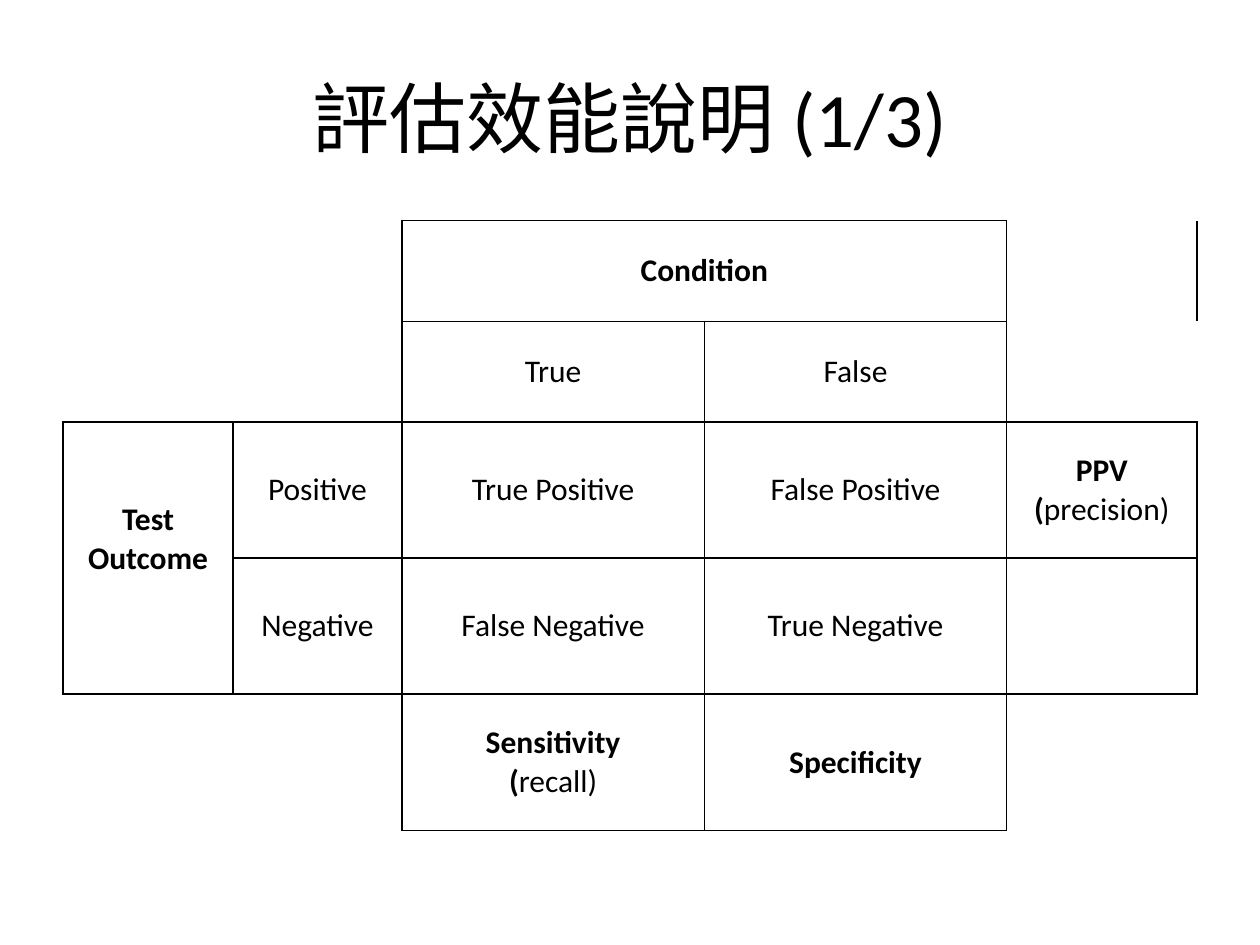
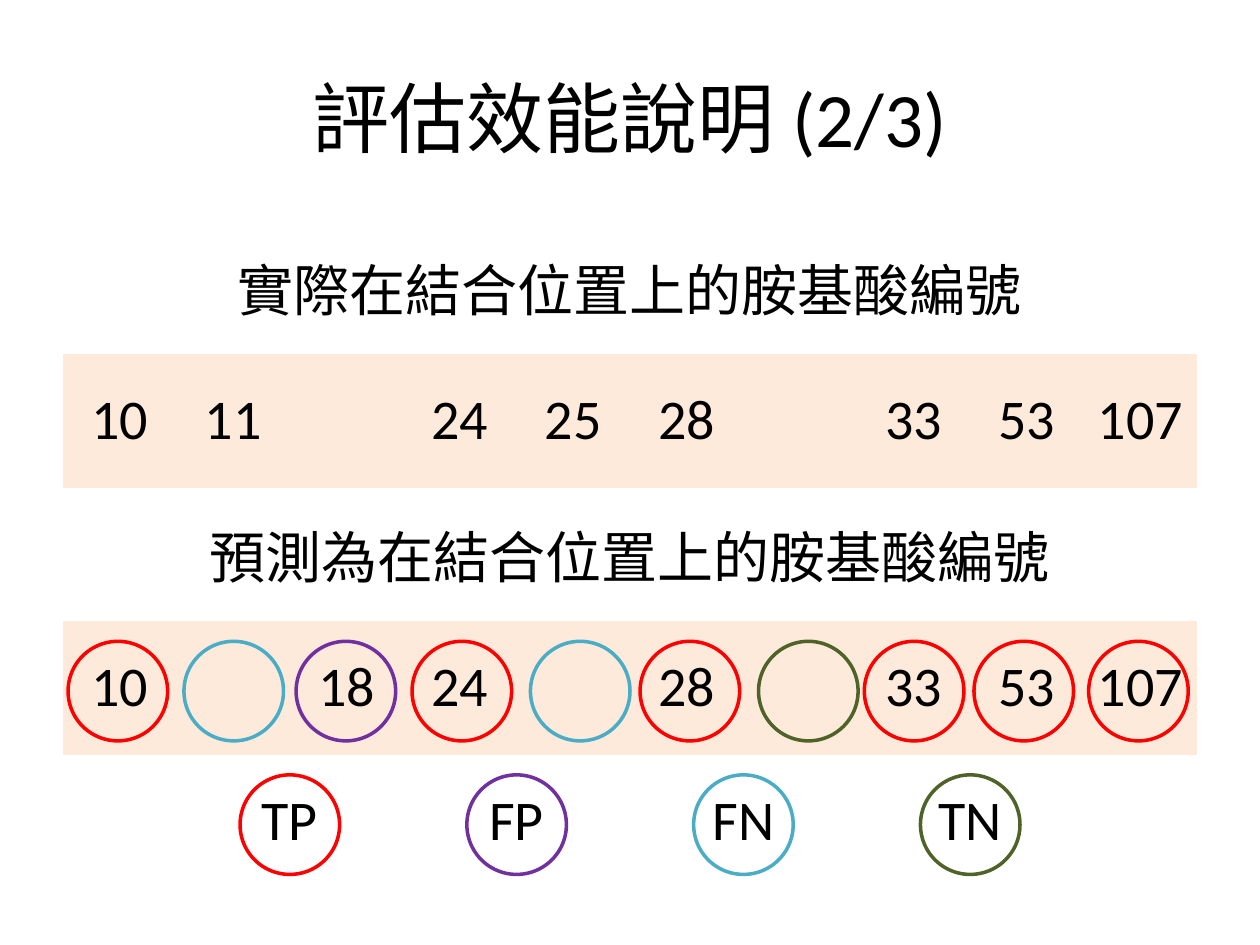
from itertools import product

from lxml.etree import SubElement
from pptx import Presentation
from pptx.dml.color import RGBColor
from pptx.enum.shapes import MSO_SHAPE as Shape
from pptx.enum.text import MSO_ANCHOR as Anchor, PP_ALIGN as Align
from pptx.oxml.ns import qn
from pptx.util import Inches, Pt

BLACK = RGBColor(0x00, 0x00, 0x00)
PEACH = RGBColor(0xFD, 0xEA, 0xDA)
OUTCOME_COLORS = {
    "TP": RGBColor(0xFF, 0x00, 0x00),
    "FP": RGBColor(0x70, 0x30, 0xA0),
    "FN": RGBColor(0x4B, 0xAC, 0xC6),
    "TN": RGBColor(0x4F, 0x62, 0x28),
}
LATIN = "Calibri"
CHINESE = "Noto Sans CJK SC"
PLAIN_TABLE = "{2D5ABB26-0587-4C30-8999-92F81FD0307C}"

TITLE_BOX = (0.5, 0.3, 9, 1.25)
MATRIX_BOX = (0.5, 1.75, 9, 4.84)
RESIDUE_BOX = (0.5, 1.75, 9, 5.3)
CIRCLE = 0.79

MATRIX_COLUMNS = [1.35, 1.34, 2.4, 2.4, 1.51]
MATRIX_ROWS = [0.8, 0.8, 1.08, 1.08, 1.08]
MATRIX_TEXT = {
    (0, 2): [[("Condition", True)]],
    (1, 2): [[("True", False)]],
    (1, 3): [[("False", False)]],
    (2, 0): [[("Test", True), ("\n", True), ("Outcome", True)]],
    (2, 1): [[("Positive", False)]],
    (2, 2): [[("True Positive", False)]],
    (2, 3): [[("False Positive", False)]],
    (2, 4): [[("PPV", True)], [("(", True), ("precision)", False)]],
    (3, 1): [[("Negative", False)]],
    (3, 2): [[("False Negative", False)]],
    (3, 3): [[("True Negative", False)]],
    (4, 2): [[("Sensitivity", True)], [("(", True), ("recall)", False)]],
    (4, 3): [[("Specificity", True)]],
}

ACTUAL = ["10", "11", "", "24", "25", "28", "", "33", "53", "107"]
PREDICTED = ["10", "", "18", "24", "", "28", "", "33", "53", "107"]
PREDICTION_MARKS = [
    ("TP", 0.04), ("FN", 0.96), ("FP", 1.85), ("TP", 2.77), ("FN", 3.71),
    ("TP", 4.58), ("TN", 5.52), ("TP", 6.36), ("TP", 7.23), ("TP", 8.14),
]


def add_span(para, text, size, font=LATIN, bold=False):
    span = para.add_run()
    span.text = text
    span.font.size = Pt(size)
    span.font.bold = bold
    span.font.color.rgb = BLACK
    span.font.name = font
    SubElement(span.font._element, qn("a:ea")).set("typeface", font)


def add_title(page, box, number):
    frame = page.shapes.add_textbox(*map(Inches, box)).text_frame
    frame.word_wrap = True
    frame.vertical_anchor = Anchor.MIDDLE
    para = frame.paragraphs[0]
    para.alignment = Align.CENTER
    add_span(para, "評估效能說明", 44, CHINESE)
    add_span(para, f" ({number}/3)", 44)


def add_plain_table(page, box, columns, rows):
    frame = page.shapes.add_table(len(rows), len(columns), *map(Inches, box))
    for style in frame.element.iter(qn("a:tableStyleId")):
        style.text = PLAIN_TABLE
    table = frame.table
    table.first_row = table.horz_banding = False
    for column, width in zip(table.columns, columns):
        column.width = Inches(width)
    for row, height in zip(table.rows, rows):
        row.height = Inches(height)
    for cell in table.iter_cells():
        cell.vertical_anchor = Anchor.MIDDLE
        cell.fill.background()
    return table


def fill_cell(cell, text, font=LATIN):
    para = cell.text_frame.paragraphs[0]
    para.alignment = Align.CENTER
    add_span(para, text, 32, font)


def in_cross(row, column):
    return (row in (2, 3) and 0 <= column < 5) or (column in (2, 3) and 0 <= row < 5)


def add_borders(cell, row, column):
    neighbours = [("L", 0, -1), ("R", 0, 1), ("T", -1, 0), ("B", 1, 0)]
    properties = cell._tc.get_or_add_tcPr()
    position = 0
    for side, down, right in neighbours:
        if in_cross(row, column) or in_cross(row + down, column + right):
            line = SubElement(properties, qn(f"a:ln{side}"), w=str(Pt(1)))
            fill = SubElement(line, qn("a:solidFill"))
            SubElement(fill, qn("a:srgbClr"), val=str(BLACK))
            properties.insert(position, line)
            position += 1


def add_confusion_matrix(page, box):
    table = add_plain_table(page, box, MATRIX_COLUMNS, MATRIX_ROWS)
    for row, column in product(range(5), repeat=2):
        add_borders(table.cell(row, column), row, column)
    table.cell(0, 2).merge(table.cell(0, 3))
    table.cell(2, 0).merge(table.cell(3, 0))
    table.cell(2, 0).margin_bottom = Inches(0.35)
    for position, lines in MATRIX_TEXT.items():
        frame = table.cell(*position).text_frame
        for index, line in enumerate(lines):
            para = frame.add_paragraph() if index else frame.paragraphs[0]
            para.alignment = Align.CENTER
            for text, bold in line:
                if text == "\n":
                    para.add_line_break()
                else:
                    add_span(para, text, 18, bold=bold)


def add_circle(page, left, top, outcome):
    circle = page.shapes.add_shape(
        Shape.OVAL, *map(Inches, (left, top, CIRCLE, CIRCLE)))
    circle.shadow.inherit = False
    circle.fill.background()
    circle.line.color.rgb = OUTCOME_COLORS[outcome]
    circle.line.width = Pt(2)


def add_residue_comparison(page, box):
    left, top, width, height = box
    column_width, row_height = width / 10, height / 5
    table = add_plain_table(page, box, [column_width] * 10, [row_height] * 5)
    sections = [
        (0, "實際在結合位置上的胺基酸編號", ACTUAL),
        (2, "預測為在結合位置上的胺基酸編號", PREDICTED),
    ]
    for row, heading, residues in sections:
        table.cell(row, 0).merge(table.cell(row, 9))
        fill_cell(table.cell(row, 0), heading, CHINESE)
        for column, residue in enumerate(residues):
            cell = table.cell(row + 1, column)
            cell.fill.solid()
            cell.fill.fore_color.rgb = PEACH
            if residue:
                fill_cell(cell, residue)

    for outcome, offset in PREDICTION_MARKS:
        add_circle(page, left + offset, top + 3.34, outcome)

    for index, outcome in enumerate(OUTCOME_COLORS):
        column = 1 + 2 * index
        table.cell(4, column).merge(table.cell(4, column + 1))
        fill_cell(table.cell(4, column), outcome)
        center = left + (column + 1) * column_width
        add_circle(page, center - CIRCLE / 2, top + 4.4, outcome)


def main():
    deck = Presentation()
    deck.slide_width, deck.slide_height = Inches(10), Inches(7.5)
    regions = [
        (add_confusion_matrix, MATRIX_BOX),
        (add_residue_comparison, RESIDUE_BOX),
    ]
    for number, (add_region, box) in enumerate(regions, 1):
        page = deck.slides.add_slide(deck.slide_layouts[6])
        add_title(page, TITLE_BOX, number)
        add_region(page, box)
    deck.save("out.pptx")


if __name__ == "__main__":
    main()
